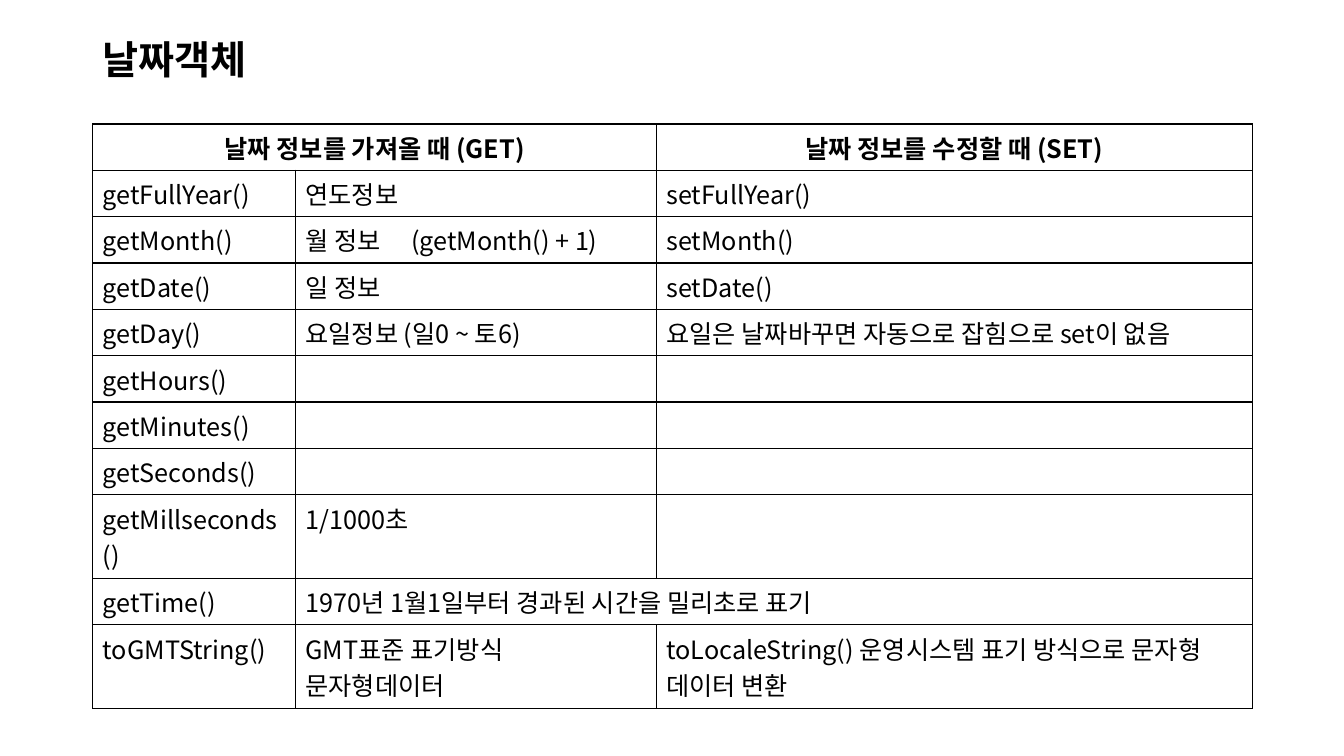
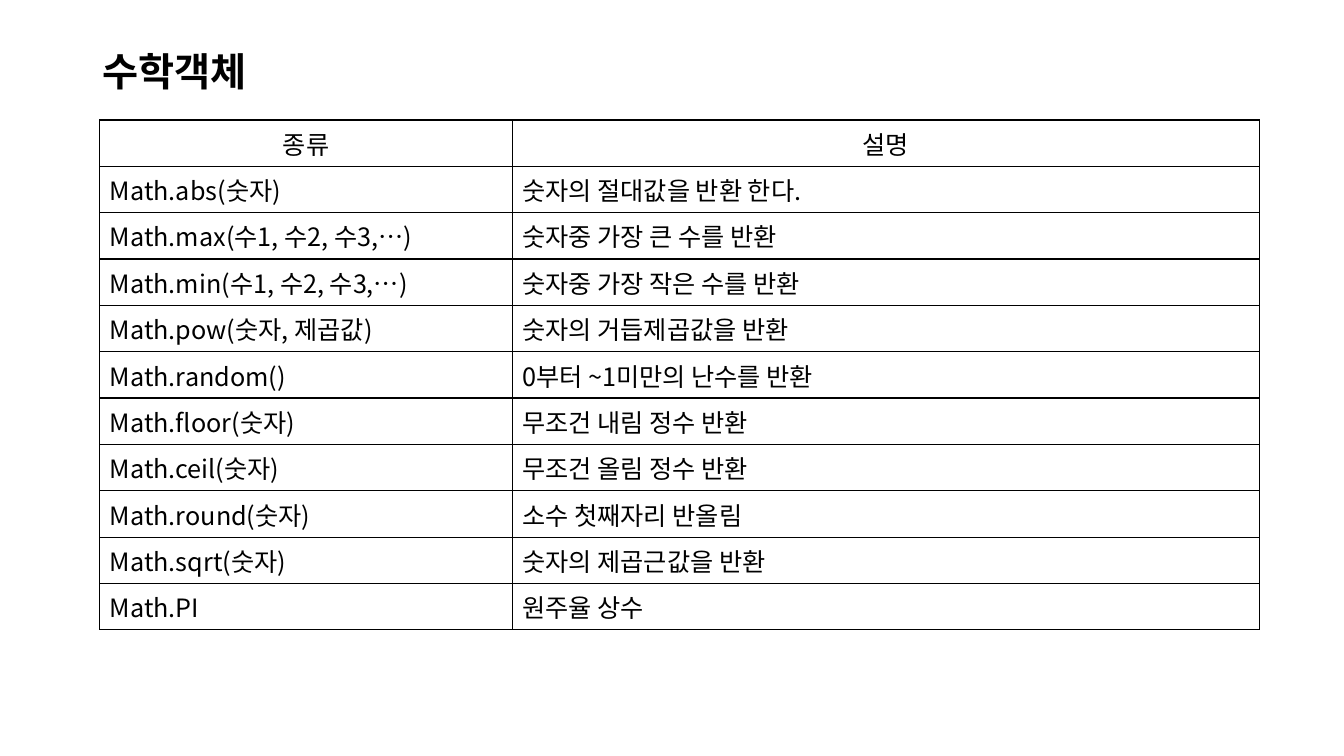
"""Build two slides with tables of JavaScript date and math methods."""
from lxml.etree import SubElement as Sub
from pptx import Presentation as Deck
from pptx.dml.color import RGBColor
from pptx.enum.text import MSO_ANCHOR as Anchor, PP_ALIGN as Align
from pptx.oxml.ns import qn
from pptx.util import Inches, Pt

BLACK = RGBColor(0, 0, 0)
WHITE = RGBColor(255, 255, 255)
FONT = "Noto Sans CJK KR"
LEFT = 0.92
WIDTH = 11.5
ROW = 0.46
TALL = 0.83
TAB = 1.05

DATES = [
    ("날짜 정보를 가져올 때 (GET)", None, "날짜 정보를 수정할 때 (SET)"),
    ("getFullYear()", "연도정보", "setFullYear()"),
    ("getMonth()", "월 정보\t(getMonth() + 1)", "setMonth()"),
    ("getDate()", "일 정보", "setDate()"),
    ("getDay()", "요일정보 (일0 ~ 토6)", "요일은 날짜바꾸면 자동으로 잡힘으로 set이 없음"),
    ("getHours()", "", ""),
    ("getMinutes()", "", ""),
    ("getSeconds()", "", ""),
    ("getMillseconds()", "1/1000초", ""),
    ("getTime()", "1970년 1월1일부터 경과된 시간을 밀리초로 표기", None),
    ("toGMTString()", "GMT표준 표기방식 문자형데이터",
     "toLocaleString() 운영시스템 표기 방식으로 문자형 데이터 변환"),
]

MATH = [
    ("종류", "설명"),
    ("Math.abs(숫자)", "숫자의 절대값을 반환 한다."),
    ("Math.max(수1, 수2, 수3,…)", "숫자중 가장 큰 수를 반환"),
    ("Math.min(수1, 수2, 수3,…)", "숫자중 가장 작은 수를 반환"),
    ("Math.pow(숫자, 제곱값)", "숫자의 거듭제곱값을 반환"),
    ("Math.random()", "0부터 ~1미만의 난수를 반환"),
    ("Math.floor(숫자)", "무조건 내림 정수 반환"),
    ("Math.ceil(숫자)", "무조건 올림 정수 반환"),
    ("Math.round(숫자)", "소수 첫째자리 반올림"),
    ("Math.sqrt(숫자)", "숫자의 제곱근값을 반환"),
    ("Math.PI", "원주율 상수"),
]


def add_run(para, text, size, bold=False):
    run = para.add_run()
    run.text = text
    font = run.font
    font.name, font.size, font.bold = FONT, Pt(size), bold
    font.color.rgb = BLACK
    Sub(font._element, qn("a:ea"), typeface=FONT)


def add_title(slide, text, height):
    box = slide.shapes.add_textbox(
        Inches(LEFT), Inches(0.4), Inches(WIDTH), Inches(height))
    frame = box.text_frame
    frame.word_wrap = True
    frame.vertical_anchor = Anchor.MIDDLE
    para = frame.paragraphs[0]
    para.line_spacing = 0.9
    add_run(para, text, 28, True)


def set_tab(para):
    tabs = Sub(para._p.get_or_add_pPr(), qn("a:tabLst"))
    Sub(tabs, qn("a:tab"), pos=str(Inches(TAB)), algn="l")


def style_cell(cell):
    props = cell._tc.get_or_add_tcPr()
    for side in ("lnL", "lnR", "lnT", "lnB"):
        line = Sub(props, qn(f"a:{side}"), w=str(Pt(1)))
        fill = Sub(line, qn("a:solidFill"))
        Sub(fill, qn("a:srgbClr"), val=str(BLACK))
    cell.fill.solid()
    cell.fill.fore_color.rgb = WHITE


def fill_cell(cell, text, head, bold):
    para = cell.text_frame.paragraphs[0]
    if head:
        para.alignment = Align.CENTER
    if "\t" in text:
        set_tab(para)
    add_run(para, text, 18, bold)


def add_grid(slide, left, top, widths, rows, bold=False, tall=()):
    sizes = [TALL if i in tall else ROW for i in range(len(rows))]
    frame = slide.shapes.add_table(
        len(rows), len(widths), Inches(left), Inches(top),
        Inches(WIDTH), Inches(sum(sizes)))
    table = frame.table
    table.first_row = table.horz_banding = False
    for col, width in zip(table.columns, widths):
        col.width = Inches(width)
    for i, row in enumerate(rows):
        table.rows[i].height = Inches(sizes[i])
        for j, text in enumerate(row):
            cell = table.cell(i, j)
            style_cell(cell)
            if text is None:
                table.cell(i, j - 1).merge(cell)
            elif text:
                fill_cell(cell, text, i == 0, bold and i == 0)


def main():
    deck = Deck()
    deck.slide_width, deck.slide_height = Inches(13.33), Inches(7.5)
    blank = deck.slide_layouts[6]

    slide = deck.slides.add_slide(blank)
    add_title(slide, "날짜객체", 0.42)
    add_grid(slide, LEFT, 1.23, (2.01, 3.58, 5.91), DATES,
             bold=True, tall=(8, 10))

    slide = deck.slides.add_slide(blank)
    add_title(slide, "수학객체", 0.66)
    add_grid(slide, 0.99, 1.19, (4.09, 7.41), MATH)

    deck.save("out.pptx")


if __name__ == "__main__":
    main()
